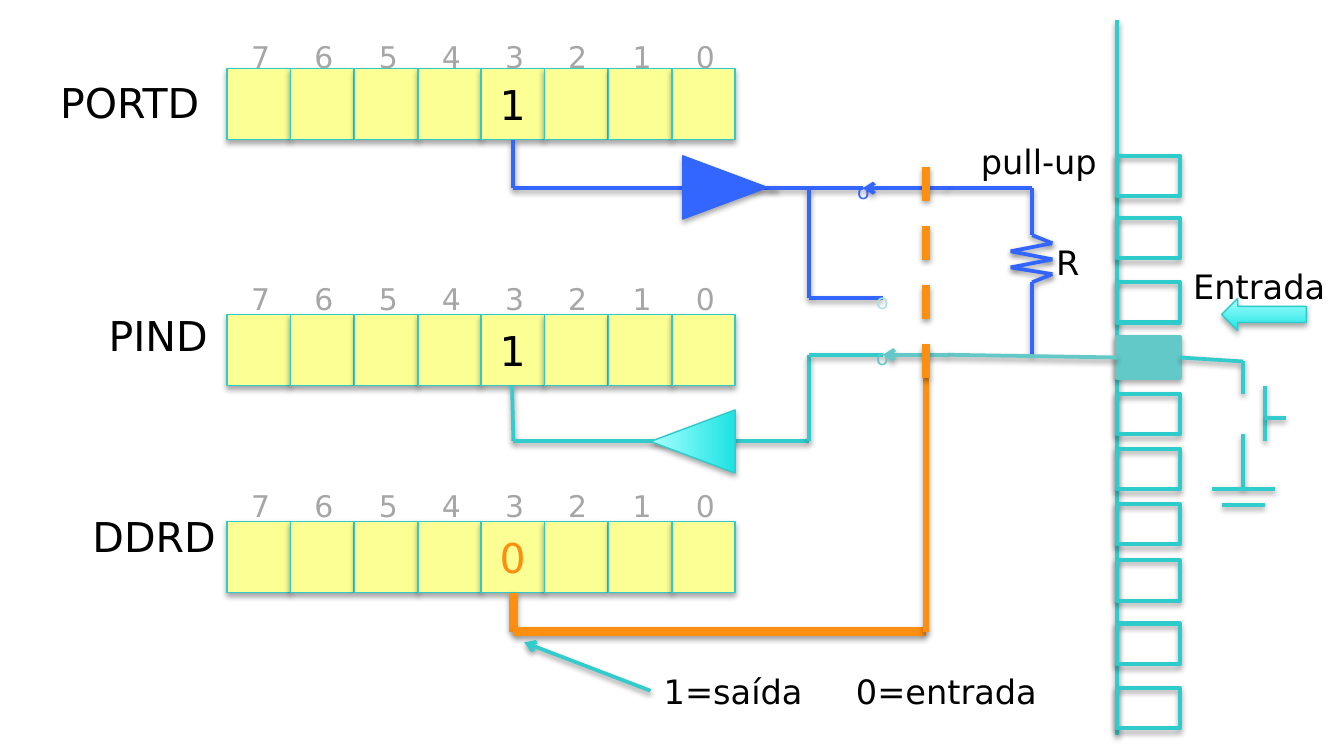
from lxml import etree
from pptx import Presentation
from pptx.dml.color import RGBColor
from pptx.enum.dml import MSO_LINE
from pptx.enum.shapes import MSO_CONNECTOR, MSO_SHAPE
from pptx.enum.text import MSO_ANCHOR, MSO_AUTO_SIZE, PP_ALIGN
from pptx.oxml.ns import qn
from pptx.util import Pt

RECT, TRI, ARROW = MSO_SHAPE.RECTANGLE, MSO_SHAPE.ISOSCELES_TRIANGLE, MSO_SHAPE.LEFT_ARROW
STRAIGHT, DASH = MSO_CONNECTOR.STRAIGHT, MSO_LINE.DASH
CENTER, MIDDLE, GROW = PP_ALIGN.CENTER, MSO_ANCHOR.MIDDLE, MSO_AUTO_SIZE.SHAPE_TO_FIT_TEXT
FONT = "DejaVu Sans"
PX = 9144  # 100 px to the inch
WIDE = 1000

COLORS = {
    "cell": "FCFF93", "edge": "2ECBCB", "teal": "33CCCC", "pin": "63C8C8",
    "pale": "ADE2E2", "blue": "3366FF", "orange": "FD8F10", "gray": "A6A6A6",
    "black": "000000", "dark": "1CE3E3", "light": "A7FFFF",
}

# Registers: top of the cells, top of the bit numbers, value of bit 3, its colour
REGS = [
    (51, 24, "1", "black"),
    (234, 204, "1", "black"),
    (388, 358, "0", "orange"),
]
BITS, BIT = 8, 3
REG_X, REG_SPAN, CELL_W, CELL_H = 169, 331, 47, 53

# Chip edge and pins
EDGE_X, EDGE_TOP, EDGE_END = 831, 15, 547
PIN_TOPS = [116, 162, 210, 251, 293, 334, 375, 417, 464, 512]
INPUT_PIN = 3

# Wires: colour, width in points, points along the path
ZIGZAG = [(768, 175), (783, 181), (752, 187), (783, 193), (752, 199), (783, 204), (768, 210)]
WIRES = [
    ("blue", 2, [(382, 104), (382, 140), (579, 140)]),
    ("blue", 2, [(571, 140), (642, 140)]),
    ("blue", 2, [(602, 140), (602, 222), (657, 222)]),
    ("blue", 2, [(705, 140), (768, 140), *ZIGZAG, (768, 264)]),
    ("pin", 2, [(831, 266), (705, 264)]),
    ("teal", 2, [(381, 287), (382, 328), (602, 328), (602, 264), (657, 264)]),
    ("orange", 4.5, [(382, 441), (382, 470), (689, 470)]),
    ("orange", 3, [(689, 470), (689, 281)]),
    # Push button and ground
    ("teal", 2, [(878, 266), (925, 269), (925, 293)]),
    ("teal", 2, [(925, 323), (925, 364)]),
    ("teal", 2, [(902, 364), (949, 364)]),
    ("teal", 2, [(909, 376), (941, 376)]),
    ("teal", 2, [(941, 287), (941, 328)]),
    ("teal", 2, [(941, 311), (957, 311)]),
]
ARROWS = [
    ("blue", (705, 140), (642, 140)),
    ("pin", (705, 264), (657, 264)),
    ("teal", (484, 514), (390, 478)),
]
LINK = ((689, 281), (689, 122))

# Labels: text, box, size, colour
LABELS = [
    ("PORTD", (35, 53, 126, 47), 22, "black"),
    ("PIND", (71, 226, 99, 47), 22, "black"),
    ("DDRD", (59, 376, 113, 47), 22, "black"),
    ("R", (776, 175, 38, 40), 18, "black"),
    ("pull-up", (720, 100, 109, 40), 18, "black"),
    ("Entrada", (878, 193, 118, 40), 18, "black"),
    ("o", (628, 128, 30, 29), 11, "blue"),
    ("o", (642, 210, 30, 29), 11, "pale"),
    ("o", (642, 252, 30, 29), 11, "pin"),
]
LEGEND = ("1=saída\t0=entrada", (484, 494, 301, 40), 18, "black")
LEGEND_TAB = 143


def color(name):
    return RGBColor.from_string(COLORS[name])


def scale(values):
    return [v * PX for v in values]


def shade(shape, dist, alpha):
    """Give the shape a soft shadow straight below it."""
    fx = etree.SubElement(shape._element.spPr, qn("a:effectLst"))
    drop = etree.SubElement(fx, qn("a:outerShdw"), blurRad=str(Pt(3.1)),
                            dist=str(Pt(dist)), dir="5400000", rotWithShape="0")
    tint = etree.SubElement(drop, qn("a:srgbClr"), val=COLORS["black"])
    etree.SubElement(tint, qn("a:alpha"), val=str(alpha * 1000))


def style(run, size, tone):
    font = run.font
    font.name, font.size = FONT, Pt(size)
    font.color.rgb = color(tone)


def add_label(text, box, size, tone, tab=None):
    frame = slide.shapes.add_textbox(*scale(box)).text_frame
    frame.word_wrap, frame.auto_size = False, GROW
    para = frame.paragraphs[0]
    if tab:
        tabs = etree.SubElement(para._p.get_or_add_pPr(), qn("a:tabLst"))
        etree.SubElement(tabs, qn("a:tab"), pos=str(tab * PX), algn="l")
    para.text = text
    for run in para.runs:
        style(run, size, tone)


def add_box(kind, box, fill=None, edge="edge", width=0.75):
    shape = slide.shapes.add_shape(kind, *scale(box))
    shape.line.color.rgb, shape.line.width = color(edge), Pt(width)
    if fill == "fade":
        shape.fill.gradient()
        shape.fill.gradient_angle = 90
        for stop, tone in zip(shape.fill.gradient_stops, ("dark", "light")):
            stop.color.rgb = color(tone)
    elif fill:
        shape.fill.solid()
        shape.fill.fore_color.rgb = color(fill)
    else:
        shape.fill.background()
    shade(shape, 1.8, 35)
    return shape


def add_line(tone, width, start, end, arrow=False, dash=None):
    line = slide.shapes.add_connector(STRAIGHT, *scale(start + end))
    line.line.color.rgb, line.line.width = color(tone), Pt(width)
    if dash:
        line.line.dash_style = dash
    if arrow:
        etree.SubElement(line.line._get_or_add_ln(), qn("a:tailEnd"), type="arrow")
    shade(line, 1.6, 38)


deck = Presentation()
deck.slide_width = WIDE * PX
deck.slide_height = WIDE * PX * 9 // 16
slide = deck.slides.add_slide(deck.slide_layouts[6])

# Registers with bit numbers
for top, num_top, value, tone in REGS:
    for i in range(BITS):
        bit = BITS - 1 - i
        x = REG_X + round(i * REG_SPAN / (BITS - 1))
        cell = add_box(RECT, (x, top, CELL_W, CELL_H), "cell")
        if bit == BIT:
            frame = cell.text_frame
            frame.text = value
            frame.vertical_anchor = MIDDLE
            para = frame.paragraphs[0]
            para.alignment = CENTER
            style(para.runs[0], 22, tone)
        add_label(str(bit), (x + 8, num_top, 34, 37), 16, "gray")

# Chip edge and pins
add_line("teal", 2, (EDGE_X, EDGE_TOP), (EDGE_X, EDGE_END))
for i, top in enumerate(PIN_TOPS):
    fill, edge = ("pin", "pin") if i == INPUT_PIN else (None, "edge")
    add_box(RECT, (EDGE_X, top, 47, 30), fill, edge, 2.25)

# Wires, switch arrows and the link that moves the switches
for tone, width, path in WIRES:
    for start, end in zip(path, path[1:]):
        add_line(tone, width, start, end)
for tone, start, end in ARROWS:
    add_line(tone, 2, start, end, arrow=True)
add_line("orange", 4.5, *LINK, dash=DASH)

# Buffers and input arrow
add_box(TRI, (516, 108, 47, 63), "blue", "blue").rotation = 90
add_box(TRI, (492, 297, 47, 63), "fade").rotation = 270
add_box(ARROW, (909, 222, 63, 24), "fade")

# Labels
for label in LABELS:
    add_label(*label)
add_label(*LEGEND, tab=LEGEND_TAB)

deck.save("out.pptx")
